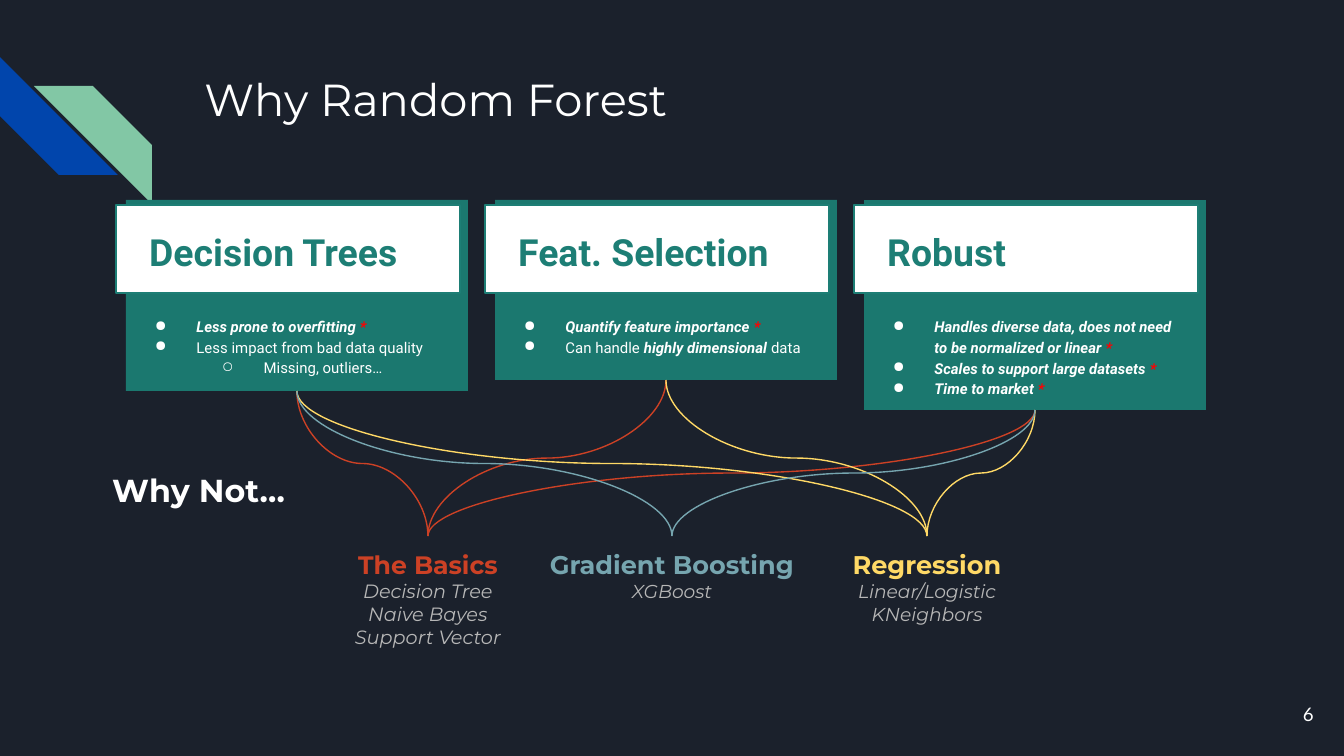
from pptx import Presentation
from pptx import util as u
from pptx.dml.color import RGBColor
from pptx.enum import shapes, text
from pptx.oxml.ns import qn
from lxml import etree

SCALE = 914400 / 134.4
WHITE, GREEN, EDGE, RED, GREY = "FFFFFF", "1B786F", "1D7E75", "FF0000", "B7B7B7"
BRICK, TEAL, YELLOW = "CC4125", "76A5AF", "FFD966"
ALIGN = text.PP_ALIGN


def px(length):
    return u.Emu(round(length * SCALE))


def color(value):
    return RGBColor.from_string(value)


class Board:
    def __init__(self, deck, background):
        self.page = deck.slides.add_slide(deck.slide_layouts[5])
        self.page.background.fill.solid()
        self.page.background.fill.fore_color.rgb = color(background)

    def style_font(self, font, size, name, fill, bold=False, italic=False):
        font.size, font.name = u.Pt(size), name
        font.bold, font.italic = bold, italic
        font.color.rgb = color(fill)

    def set_frame(self, frame, anchor=text.MSO_ANCHOR.TOP):
        frame.word_wrap = True
        frame.auto_size = text.MSO_AUTO_SIZE.NONE
        frame.vertical_anchor = anchor
        frame.margin_left = frame.margin_right = u.Inches(0.1)
        frame.margin_top = frame.margin_bottom = u.Inches(0.1)

    def title(self, x, y, width, height, words, size, name):
        box = self.page.shapes.title
        box.left, box.top, box.width, box.height = map(px, (x, y, width, height))
        self.set_frame(box.text_frame)
        box.text_frame.text = words
        para = box.text_frame.paragraphs[0]
        para.alignment = ALIGN.LEFT
        self.style_font(para.font, size, name, WHITE)

    def shape(self, kind, x, y, width, height, fill, line=None):
        item = self.page.shapes.add_shape(kind, *map(px, (x, y, width, height)))
        item.shadow.inherit = False
        item.fill.solid()
        item.fill.fore_color.rgb = color(fill)
        if line:
            item.line.color.rgb = color(line)
            item.line.width = u.Pt(1.5)
        else:
            item.line.fill.background()
        return item

    def stripe(self, x, y, side, fill, rotation=0, flip=False):
        item = self.shape(shapes.MSO_SHAPE.DIAGONAL_STRIPE, x, y, side, side, fill)
        item.adjustments[0] = 0.5
        item.rotation = rotation
        if flip:
            item._element.spPr.find(qn("a:xfrm")).set("flipH", "1")

    def text_box(self, x, y, width, height, lines, align=ALIGN.LEFT,
                 anchor=text.MSO_ANCHOR.TOP):
        """Each line is its words followed by the arguments of style_font."""
        box = self.page.shapes.add_textbox(*map(px, (x, y, width, height)))
        frame = box.text_frame
        self.set_frame(frame, anchor)
        for index, (words, *style) in enumerate(lines):
            para = frame.paragraphs[0] if index == 0 else frame.add_paragraph()
            para.text = words
            para.alignment = align
            self.style_font(para.font, *style)
        return box

    def bullets(self, x, y, width, height, rows):
        """Each row is a level and its spans: (words, strong)."""
        box = self.page.shapes.add_textbox(*map(px, (x, y, width, height)))
        frame = box.text_frame
        self.set_frame(frame)
        for index, (level, spans) in enumerate(rows):
            para = frame.paragraphs[0] if index == 0 else frame.add_paragraph()
            para.level = level
            para.line_spacing = 1.15
            props = para._p.get_or_add_pPr()
            props.set("marL", str(u.Inches(0.5 * (level + 1))))
            props.set("indent", str(u.Inches(-0.31)))
            tint = etree.SubElement(props, qn("a:buClr"))
            etree.SubElement(tint, qn("a:srgbClr")).set("val", WHITE)
            etree.SubElement(props, qn("a:buChar")).set("char", "●○"[level])
            self.style_font(para.font, 8, "Roboto", WHITE)
            for words, strong in spans:
                span = para.add_run()
                span.text = words
                span.font.bold = span.font.italic = strong
                if words == "*":
                    span.font.color.rgb = color(RED)

    def curve(self, label, card, line):
        """Curve from the top of a label up to the bottom of a card."""
        link = self.page.shapes.add_connector(shapes.MSO_CONNECTOR.CURVE, 0, 0, 0, 0)
        link.begin_connect(label, 0)
        link.end_connect(card, 2)
        start_x, start_y = label.left + label.width // 2, label.top
        end_x, end_y = card.left + card.width // 2, card.top + card.height
        rise, run = start_y - end_y, abs(end_x - start_x)
        # The curve leaves vertically, so its frame is turned a quarter
        link.left = (start_x + end_x - rise) // 2
        link.top = (start_y + end_y - run) // 2
        link.width, link.height = rise, run
        to_right = end_x > start_x
        frame = link._element.spPr.find(qn("a:xfrm"))
        frame.set("rot", str((270 if to_right else 90) * 60000))
        frame.set("flipH", "0" if to_right else "1")
        frame.set("flipV", "0")
        link.line.color.rgb = color(line)
        link.line.width = u.Pt(0.75)
        etree.SubElement(link._element.spPr, qn("a:effectLst"))


STAR = ("*", True)
CARDS = [
    ("Decision Trees", 191, [
        (0, [("Less prone to overfitting ", True), STAR]),
        (0, [("Less impact from bad data quality", False)]),
        (1, [("Missing, outliers…", False)])]),
    ("Feat. Selection", 180, [
        (0, [("Quantify feature importance ", True), STAR]),
        (0, [("Can handle ", False), ("highly dimensional", True), (" data", False)])]),
    ("Robust", 210, [
        (0, [("Handles diverse data, does not need to be normalized or linear ", True), STAR]),
        (0, [("Scales to support large datasets ", True), STAR]),
        (0, [("Time to market ", True), STAR])]),
]

# x, width, heading, sizes, colour, models, linked cards
LABELS = [
    (313, 230, "The Basics", (13.5, 10.3), BRICK,
     ["Decision Tree", "Naive Bayes", "Support Vector"], (0, 1, 2)),
    (812, 230, "Regression", (13.7, 10), YELLOW,
     ["Linear/Logistic", "KNeighbors"], (1, 2, 0)),
    (532, 280, "Gradient Boosting", (13.7, 10), TEAL, ["XGBoost"], (0, 2)),
]


def main():
    deck = Presentation()
    deck.slide_width, deck.slide_height = px(1344), px(756)
    board = Board(deck, "1B212C")

    # Corner stripes and title
    board.stripe(0, 57, 118, "0145AC", rotation=270)
    board.stripe(34, 86, 118, "82C7A5", flip=True)
    board.title(191, 58, 1035, 134, "Why Random Forest", 24, "Montserrat")

    # Cards with reasons
    cards = []
    rectangle = shapes.MSO_SHAPE.RECTANGLE
    for index, (heading, height, rows) in enumerate(CARDS):
        x = 126 + 369 * index
        cards.append(board.shape(rectangle, x, 200, 342, height, GREEN))
        board.shape(rectangle, x - 10, 205, 344, 88, WHITE, EDGE)
        board.text_box(x + 10, 216, 305, 60, [(heading, 20, "Roboto", EDGE, True)])
        board.bullets(x - 10, 302, 342, height - 113, rows)

    # Alternatives, each linked to the cards it falls short of
    board.text_box(99, 457, 204, 90, [("Why Not…", 17, "Montserrat", WHITE, True)])
    for x, width, heading, (big, small), tint, models, targets in LABELS:
        lines = [(heading, big, "Montserrat", tint, True)]
        lines += [(model, small, "Montserrat", GREY, False, True) for model in models]
        label = board.text_box(x, 536, width, 129, lines, ALIGN.CENTER)
        for target in targets:
            board.curve(label, cards[target], tint)

    # Page number
    board.text_box(1246, 685, 81, 58, [("6", 10, "Lato", WHITE)],
                   ALIGN.RIGHT, text.MSO_ANCHOR.MIDDLE)
    deck.save("out.pptx")


if __name__ == "__main__":
    main()
